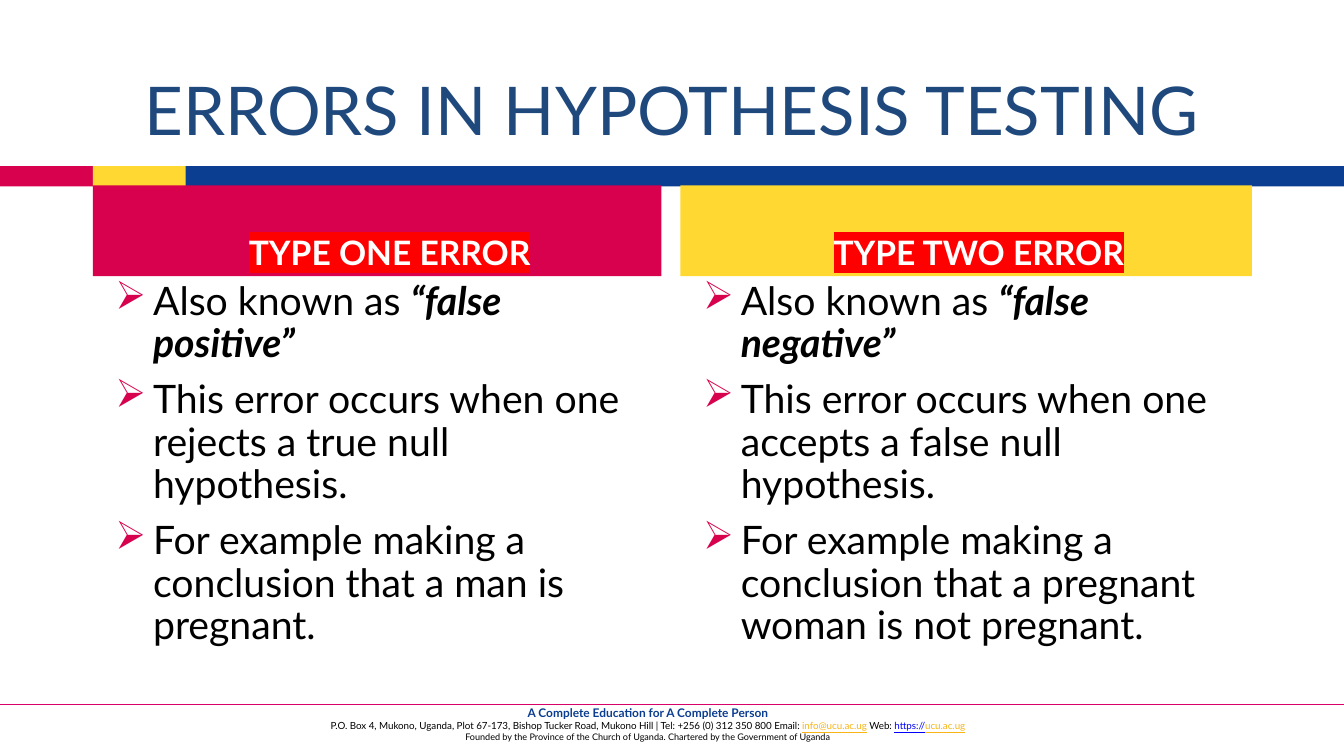
from copy import deepcopy
from dataclasses import dataclass

from lxml import etree
from pptx import Presentation
from pptx.dml.color import RGBColor
from pptx.enum.shapes import MSO_CONNECTOR, MSO_SHAPE
from pptx.enum.text import MSO_ANCHOR, PP_ALIGN
from pptx.oxml.ns import qn
from pptx.shapes.autoshape import Shape
from pptx.slide import Slide
from pptx.text.text import _Paragraph, _Run
from pptx.util import Cm, Pt

RECT = MSO_SHAPE.RECTANGLE
LINE = MSO_CONNECTOR.STRAIGHT
CENTER = PP_ALIGN.CENTER
TOP = MSO_ANCHOR.TOP
MIDDLE = MSO_ANCHOR.MIDDLE
BOTTOM = MSO_ANCHOR.BOTTOM

BLUE = RGBColor(0x0B, 0x3D, 0x91)
NAVY = RGBColor(0x1F, 0x49, 0x7D)
LINK = RGBColor(0x00, 0x00, 0xFF)
RED = RGBColor(0xD7, 0x01, 0x4D)
PINK = RGBColor(0xD7, 0x01, 0x67)
MARK = RGBColor(0xFF, 0x00, 0x00)
YELLOW = RGBColor(0xFF, 0xD9, 0x32)
GOLD = RGBColor(0xF7, 0xB6, 0x15)
BLACK = RGBColor(0x00, 0x00, 0x00)
WHITE = RGBColor(0xFF, 0xFF, 0xFF)

FONT = "Lato"
WIDTH = 33.87
EDGE = 2.34


@dataclass
class Box:
    left: float
    top: float
    width: float
    height: float

    def size(self) -> tuple[Cm, Cm, Cm, Cm]:
        return Cm(self.left), Cm(self.top), Cm(self.width), Cm(self.height)


@dataclass
class Band:
    left: float
    width: float
    color: RGBColor


@dataclass
class Part:
    text: str
    size: float
    color: RGBColor = BLACK
    bold: bool = False
    italic: bool = False
    under: bool = False


@dataclass
class Column:
    left: float
    width: float
    color: RGBColor
    head: str
    alias: str
    points: list[str]


BANDS = [
    Band(EDGE, WIDTH - EDGE, BLUE),
    Band(0, EDGE, RED),
    Band(EDGE, EDGE, YELLOW),
]

COLUMNS = [
    Column(EDGE, 14.33, RED, "TYPE ONE ERROR", "“false positive”", [
        "This error occurs when one rejects a true null hypothesis.",
        "For example making a conclusion that a man is pregnant.",
    ]),
    Column(17.15, 14.4, YELLOW, "TYPE TWO ERROR", "“false negative”", [
        "This error occurs when one accepts a false null hypothesis.",
        "For example making a conclusion that a pregnant woman is not pregnant.",
    ]),
]

MOTTO = Part("A Complete Education for A Complete Person", 8.5, BLUE, bold=True)
CONTACT = [
    Part("P.O. Box 4, Mukono, Uganda, Plot 67-173, Bishop Tucker Road, "
         "Mukono Hill | Tel: +256 (0) 312 350 800 Email: ", 7),
    Part("info@ucu.ac.ug", 7, GOLD, under=True),
    Part(" ", 7, LINK),
    Part("Web: ", 7),
    Part("https://", 7, LINK, under=True),
    Part("ucu.ac.ug", 7, GOLD, under=True),
]
FOUNDER = Part("Founded by the Province of the Church of Uganda. "
               "Chartered by the Government of Uganda", 6.5)


def add_part(para: _Paragraph, part: Part) -> _Run:
    run = para.add_run()
    run.text = part.text
    font = run.font
    font.name = FONT
    font.size = Pt(part.size)
    font.bold = part.bold
    font.italic = part.italic
    font.underline = part.under
    font.color.rgb = part.color
    return run


def add_rect(slide: Slide, box: Box, color: RGBColor) -> Shape:
    rect = slide.shapes.add_shape(RECT, *box.size())
    rect.shadow.inherit = False
    rect.fill.solid()
    rect.fill.fore_color.rgb = color
    rect.line.fill.background()
    return rect


def add_text(slide: Slide, box: Box, anchor: MSO_ANCHOR = TOP) -> Shape:
    text = slide.shapes.add_textbox(*box.size())
    text.text_frame.word_wrap = True
    text.text_frame.vertical_anchor = anchor
    return text


def set_indent(para: _Paragraph, hang: float) -> None:
    props = para._p.get_or_add_pPr()
    props.set("marL", str(Cm(1.27)))
    props.set("indent", str(Cm(-hang)))


def add_bullet(para: _Paragraph) -> None:
    set_indent(para, 0.95)
    props = para._p.get_or_add_pPr()
    color = etree.SubElement(props, qn("a:buClr"))
    etree.SubElement(color, qn("a:srgbClr"), val=str(RED))
    etree.SubElement(props, qn("a:buChar"), char="➢")
    para.line_spacing = 0.9


def mark_run(run: _Run) -> None:
    mark = etree.Element(qn("a:highlight"))
    etree.SubElement(mark, qn("a:srgbClr"), val=str(MARK))
    run._r.rPr.find(qn("a:solidFill")).addnext(mark)


def add_column(slide: Slide, col: Column) -> None:
    head = add_rect(slide, Box(col.left, 4.67, col.width, 2.29), col.color)
    head.text_frame.word_wrap = True
    head.text_frame.vertical_anchor = BOTTOM
    para = head.text_frame.paragraphs[0]
    para.alignment = CENTER
    para.line_spacing = 0.7
    set_indent(para, 0.64)
    mark_run(add_part(para, Part(col.head, 24, WHITE, bold=True)))

    frame = add_text(slide, Box(col.left, 6.96, col.width, 10.24)).text_frame
    first = frame.paragraphs[0]
    add_bullet(first)
    add_part(first, Part("Also known as ", 28))
    add_part(first, Part(col.alias, 28, bold=True, italic=True))
    for point in col.points:
        para = frame.add_paragraph()
        add_bullet(para)
        para.space_before = Pt(10)
        add_part(para, Part(point, 28))


def add_footer(slide: Slide) -> None:
    frame = add_text(slide, Box(5.89, 17.65, 20.88, 1.19)).text_frame
    para = frame.paragraphs[0]
    para.alignment = CENTER
    motto = add_part(para, MOTTO)
    para.add_line_break()
    para._p.find(qn("a:br")).append(deepcopy(motto._r.rPr))
    for part in CONTACT:
        add_part(para, part)
    last = frame.add_paragraph()
    last.alignment = CENTER
    add_part(last, FOUNDER)

    rule = slide.shapes.add_connector(LINE, 0, Cm(17.75), Cm(WIDTH), Cm(17.75))
    rule.line.color.rgb = PINK
    rule.line.width = Pt(1)
    etree.SubElement(rule._element.spPr, qn("a:effectLst"))


def main() -> None:
    deck = Presentation()
    deck.slide_width = Cm(WIDTH)
    deck.slide_height = Cm(19.05)
    slide = deck.slides.add_slide(deck.slide_layouts[6])
    for band in BANDS:
        add_rect(slide, Box(band.left, 4.19, band.width, 0.51), band.color)
    add_footer(slide)
    title = add_text(slide, Box(EDGE, 1.02, 29.21, 3.68), MIDDLE)
    para = title.text_frame.paragraphs[0]
    para.alignment = CENTER
    para.line_spacing = 0.9
    add_part(para, Part("ERRORS IN HYPOTHESIS TESTING", 48, NAVY))
    for col in COLUMNS:
        add_column(slide, col)
    deck.save("out.pptx")


if __name__ == "__main__":
    main()
